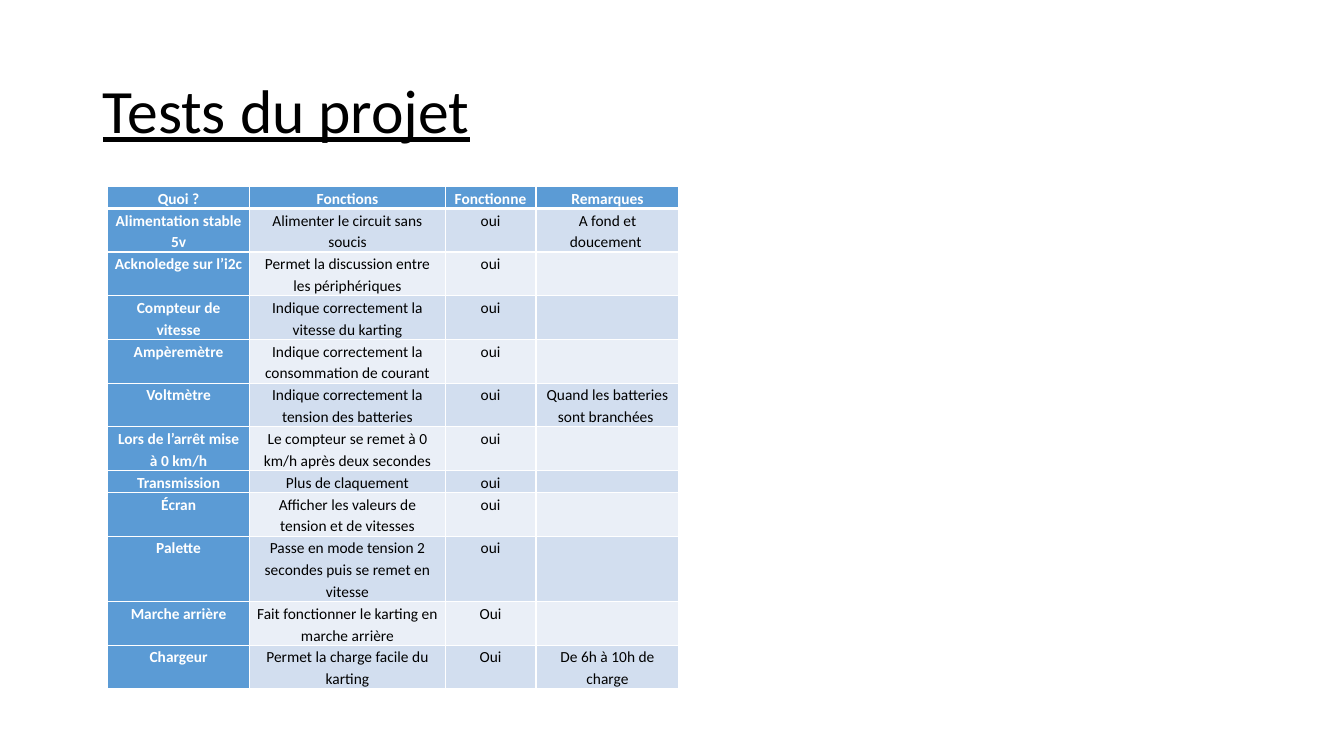
from pptx import Presentation
from pptx import util as u
from pptx.dml.color import RGBColor
from pptx.enum import text
from pptx.oxml import parse_xml
from pptx.oxml.ns import nsdecls

WIDTH, HEIGHT = u.Inches(13.33), u.Inches(7.5)
WHITE = RGBColor(0xFF, 0xFF, 0xFF)
BLACK = RGBColor(0x00, 0x00, 0x00)
BLUE = RGBColor(0x5B, 0x9B, 0xD5)
BANDS = (RGBColor(0xEA, 0xEF, 0xF7), RGBColor(0xD2, 0xDE, 0xEF))
FONT = "Calibri"
COLUMN_SHARES = (10.58, 14.55, 6.75, 10.65)
LINE_SHARE = 2.75
LINES_PER_ROW = (1, 2, 2, 2, 2, 2, 2, 1, 2, 3, 2, 2)
TESTS = (
    ("Quoi ?", "Fonctions", "Fonctionne", "Remarques"),
    ("Alimentation stable 5v", "Alimenter le circuit sans soucis", "oui", "A fond et doucement "),
    ("Acknoledge sur l’i2c", "Permet la discussion entre les périphériques", "oui", ""),
    ("Compteur de vitesse", "Indique correctement la vitesse du karting", "oui", ""),
    ("Ampèremètre", "Indique correctement la consommation de courant", "oui", ""),
    ("Voltmètre", "Indique correctement la tension des batteries", "oui", "Quand les batteries sont branchées "),
    ("Lors de l’arrêt mise à 0 km/h", "Le compteur se remet à 0 km/h après deux secondes", "oui", ""),
    ("Transmission", "Plus de claquement", "oui", ""),
    ("Écran", "Afficher les valeurs de tension et de vitesses", "oui", ""),
    ("Palette", "Passe en mode tension 2 secondes puis se remet en vitesse", "oui", ""),
    ("Marche arrière", "Fait fonctionner le karting en marche arrière", "Oui", ""),
    ("Chargeur", "Permet la charge facile du karting", "Oui", "De 6h à 10h de charge"),
)


def across(share):
    return round(WIDTH * share / 100)


def down(share):
    return round(HEIGHT * share / 100)


def set_font(para, size, color, bold=False):
    para.font.name = FONT
    para.font.size = u.Pt(size)
    para.font.color.rgb = color
    para.font.bold = bold


def set_title(page, wording):
    title = page.shapes.title
    title.left, title.top = across(6.9), down(5.33)
    title.width, title.height = across(86.25), down(19.33)
    title.text_frame.text = wording
    title.text_frame.vertical_anchor = text.MSO_ANCHOR.MIDDLE
    para = title.text_frame.paragraphs[0]
    para.alignment = text.PP_ALIGN.LEFT
    para.line_spacing = 0.9
    set_font(para, 44, BLACK)
    para.font.underline = True


def set_borders(cell, row):
    widths = {"L": 1, "R": 1, "T": 3 if row == 1 else 1, "B": 3 if row == 0 else 1}
    properties = cell._tc.get_or_add_tcPr()
    for side, width in widths.items():
        properties.append(parse_xml(
            f'<a:ln{side} {nsdecls("a")} w="{u.Pt(width)}"><a:solidFill>'
            f'<a:srgbClr val="{WHITE}"/></a:solidFill></a:ln{side}>'))


def fill_cell(cell, wording, row, column):
    heading = row == 0 or column == 0
    set_borders(cell, row)
    cell.fill.solid()
    cell.fill.fore_color.rgb = BLUE if heading else BANDS[row % 2]
    cell.margin_left = cell.margin_right = u.Inches(0.07)
    cell.margin_top = cell.margin_bottom = 0
    cell.text = wording
    para = cell.text_frame.paragraphs[0]
    if wording:
        para.alignment = text.PP_ALIGN.CENTER
        para.line_spacing = 1.15
        para.space_after = u.Pt(12)
        set_font(para, 11, WHITE if heading else BLACK, heading)
    else:
        para._p.get_or_add_endParaRPr().set("sz", "1100")


def add_tests(page):
    frame = page.shapes.add_table(
        len(TESTS), len(COLUMN_SHARES), across(8), down(24.67),
        across(sum(COLUMN_SHARES)), down(LINE_SHARE * sum(LINES_PER_ROW)))
    table = frame.table
    table.first_col = True
    for column, share in zip(table.columns, COLUMN_SHARES):
        column.width = across(share)
    for row, lines in zip(table.rows, LINES_PER_ROW):
        row.height = down(LINE_SHARE * lines)
    for row, test in enumerate(TESTS):
        for column, wording in enumerate(test):
            fill_cell(table.cell(row, column), wording, row, column)


def main():
    deck = Presentation()
    deck.slide_width, deck.slide_height = WIDTH, HEIGHT
    page = deck.slides.add_slide(deck.slide_layouts[5])
    set_title(page, "Tests du projet")
    add_tests(page)
    deck.save("out.pptx")


if __name__ == "__main__":
    main()
